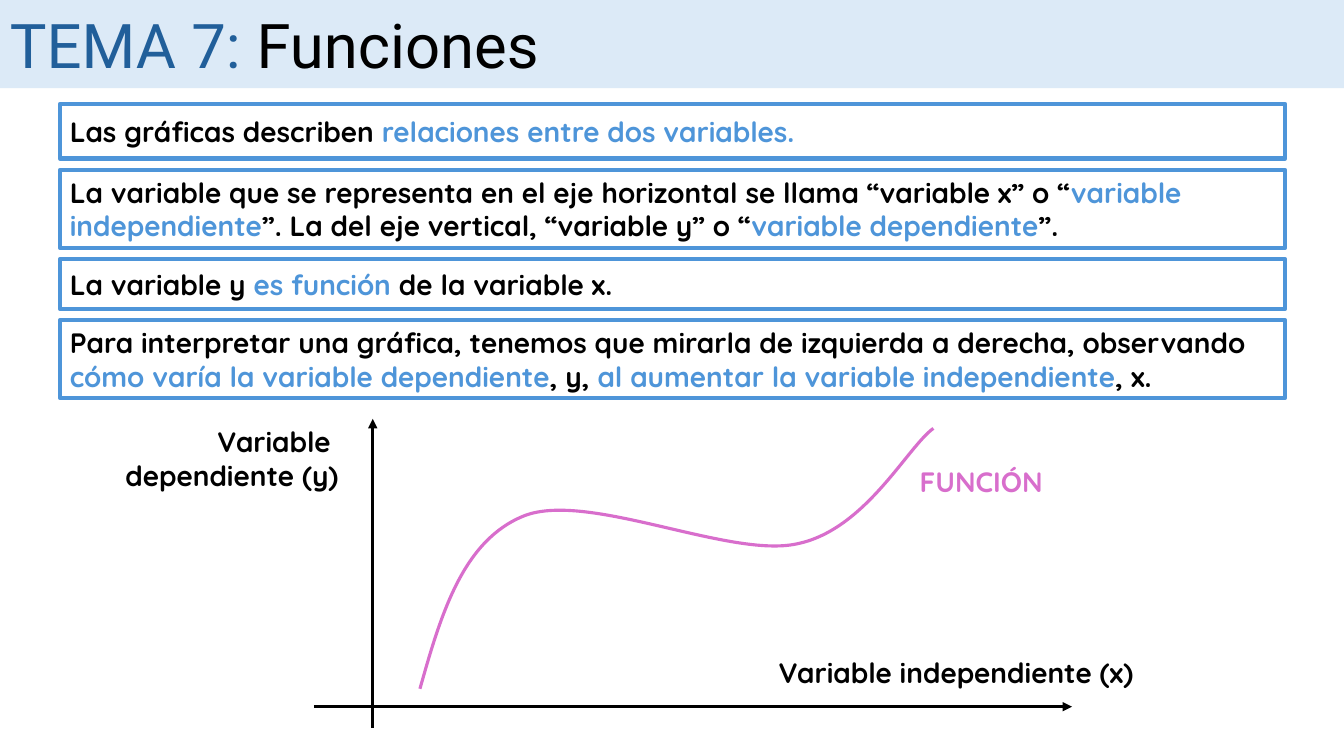
from lxml.etree import SubElement
from pptx import Presentation
from pptx.dml.color import RGBColor
from pptx.enum.shapes import MSO_CONNECTOR as Connector, MSO_SHAPE as Shape
from pptx.enum.text import MSO_ANCHOR as Anchor, MSO_AUTO_SIZE as AutoSize, PP_ALIGN as Align
from pptx.oxml.ns import qn
from pptx.util import Emu, Pt

PX = 9525
COLORS = {
    "black": "000000",
    "blue": "4E95D9",
    "navy": "215F9A",
    "pale": "DCEAF7",
    "pink": "D86ECC",
}
BODY = {"name": "Quicksand", "size": 20, "bold": True}
TITLE = {"name": "Roboto", "size": 44, "bold": False}


def px(*lengths):
    return [Emu(length * PX) for length in lengths]


def color(name):
    return RGBColor.from_string(COLORS[name])


class SlideBuilder:
    def __init__(self, slide):
        self.slide = slide
        self.shapes = slide.shapes

    def fill_text(self, text_frame, paragraphs, style=BODY, align=Align.LEFT):
        """Fill the frame; each paragraph is a list of (text, color name)."""
        text_frame.word_wrap = True
        for index, runs in enumerate(paragraphs):
            paragraph = text_frame.paragraphs[0] if index == 0 else text_frame.add_paragraph()
            paragraph.alignment = align
            for text, color_name in runs:
                run = paragraph.add_run()
                run.text = text
                run.font.name = style["name"]
                run.font.size = Pt(style["size"])
                run.font.bold = style["bold"]
                run.font.color.rgb = color(color_name)

    def line(self, shape, color_name, points):
        shape.line.color.rgb = color(color_name)
        shape.line.width = Pt(points)

    def panel(self, box, runs, fill=None, border=None, style=BODY):
        shape = self.shapes.add_shape(Shape.RECTANGLE, *px(*box))
        shape.shadow.inherit = False
        if fill:
            shape.fill.solid()
            shape.fill.fore_color.rgb = color(fill)
        else:
            shape.fill.background()
        if border:
            self.line(shape, border, 3)
        else:
            shape.line.fill.background()
        shape.text_frame.vertical_anchor = Anchor.MIDDLE
        self.fill_text(shape.text_frame, [runs], style)

    def label(self, box, lines, color_name="black", align=Align.LEFT):
        text_frame = self.shapes.add_textbox(*px(*box)).text_frame
        text_frame.auto_size = AutoSize.SHAPE_TO_FIT_TEXT
        self.fill_text(text_frame, [[(text, color_name)] for text in lines], align=align)

    def axis(self, start, end):
        connector = self.shapes.add_connector(Connector.STRAIGHT, *px(*start, *end))
        self.line(connector, "black", 2.25)
        properties = connector._element.spPr
        SubElement(properties.find(qn("a:ln")), qn("a:tailEnd"), type="triangle")
        SubElement(properties, qn("a:effectLst"))

    def curve(self, points, color_name):
        """Draw a chain of cubic Béziers: a start, then three points a segment."""
        builder = self.shapes.build_freeform(*points[0], scale=PX)
        builder.add_line_segments(points[1:], close=False)
        shape = builder.convert_to_shape()
        shape.shadow.inherit = False
        shape.fill.background()
        self.line(shape, color_name, 2.25)
        outline = shape._element.spPr.find(".//" + qn("a:path"))
        segments = outline.findall(qn("a:lnTo"))
        for first in range(0, len(segments), 3):
            bezier = SubElement(outline, qn("a:cubicBezTo"))
            for segment in segments[first:first + 3]:
                bezier.append(segment[0])
                outline.remove(segment)


STATEMENTS = [
    (52, [("Las gráficas describen ", "black"), ("relaciones entre dos variables.", "blue")]),
    (74, [("La variable que se representa en el eje horizontal se llama “variable x” o “", "black"),
          ("variable independiente", "blue"),
          ("”. La del eje vertical, “variable y” o “", "black"),
          ("variable dependiente", "blue"),
          ("”.", "black")]),
    (47, [("La variable y ", "black"), ("es función ", "blue"), ("de la variable x.", "black")]),
    (74, [("Para interpretar una gráfica, tenemos que mirarla de izquierda a derecha, observando ", "black"),
          ("cómo varía la variable dependiente", "blue"),
          (", y, ", "black"),
          ("al aumentar la variable independiente", "blue"),
          (", x.", "black")]),
]
STATEMENT_GAP = 11
FUNCTION_POINTS = [
    (400, 656),
    (420, 585), (441, 514), (500, 491),
    (561, 468), (695, 532), (759, 518),
    (824, 505), (864, 426), (889, 408),
]


def main():
    presentation = Presentation()
    presentation.slide_width, presentation.slide_height = px(1280, 720)
    builder = SlideBuilder(presentation.slides.add_slide(presentation.slide_layouts[6]))

    builder.panel((0, 0, 1280, 84), [("TEMA 7: ", "navy"), ("Funciones", "black")],
                  fill="pale", style=TITLE)

    top = 99
    for height, runs in STATEMENTS:
        builder.panel((57, top, 1167, height), runs, border="blue")
        top += height + STATEMENT_GAP

    builder.axis((299, 673), (1021, 673))
    builder.axis((355, 693), (355, 399))
    builder.label((732, 620, 387, 42), ["Variable independiente (x)"])
    builder.label((0, 400, 332, 74), ["Variable ", "dependiente (y)"], align=Align.RIGHT)
    builder.curve(FUNCTION_POINTS, "pink")
    builder.label((824, 438, 221, 42), ["FUNCIÓN"], "pink", Align.CENTER)

    presentation.save("out.pptx")


if __name__ == "__main__":
    main()
